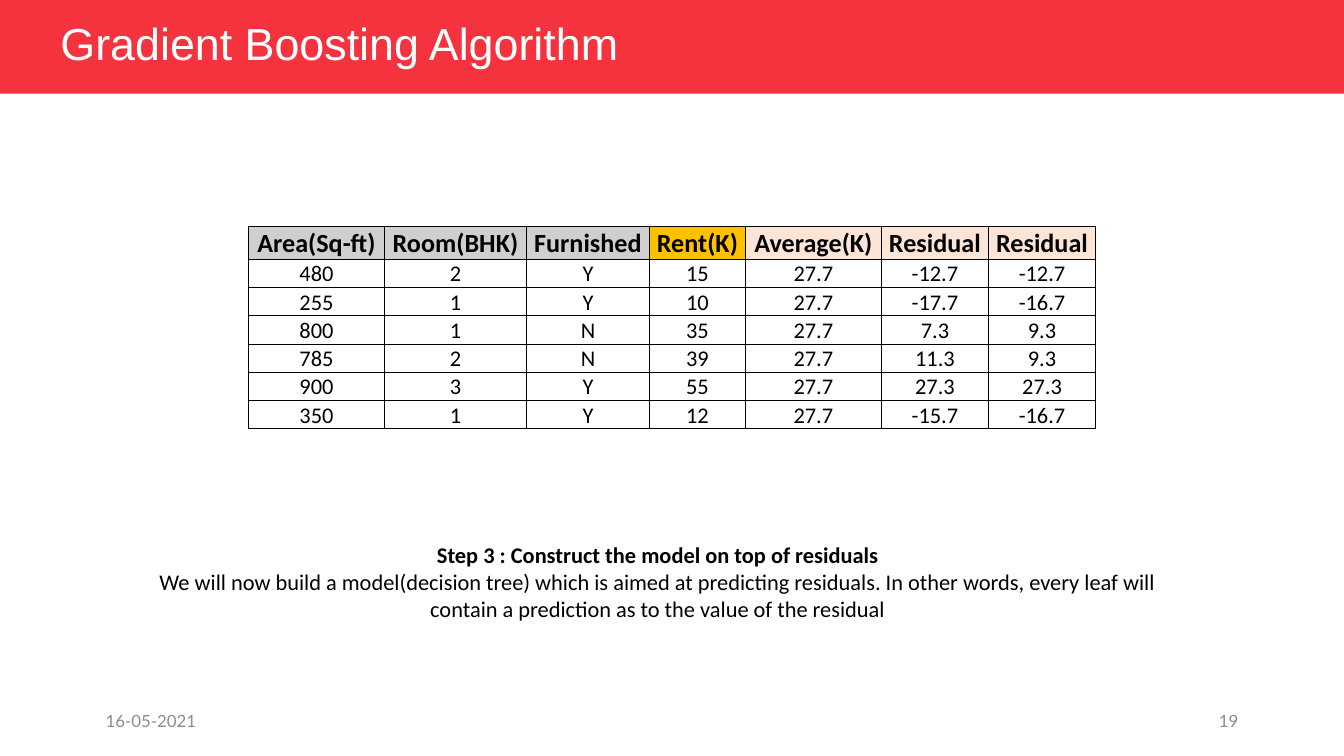
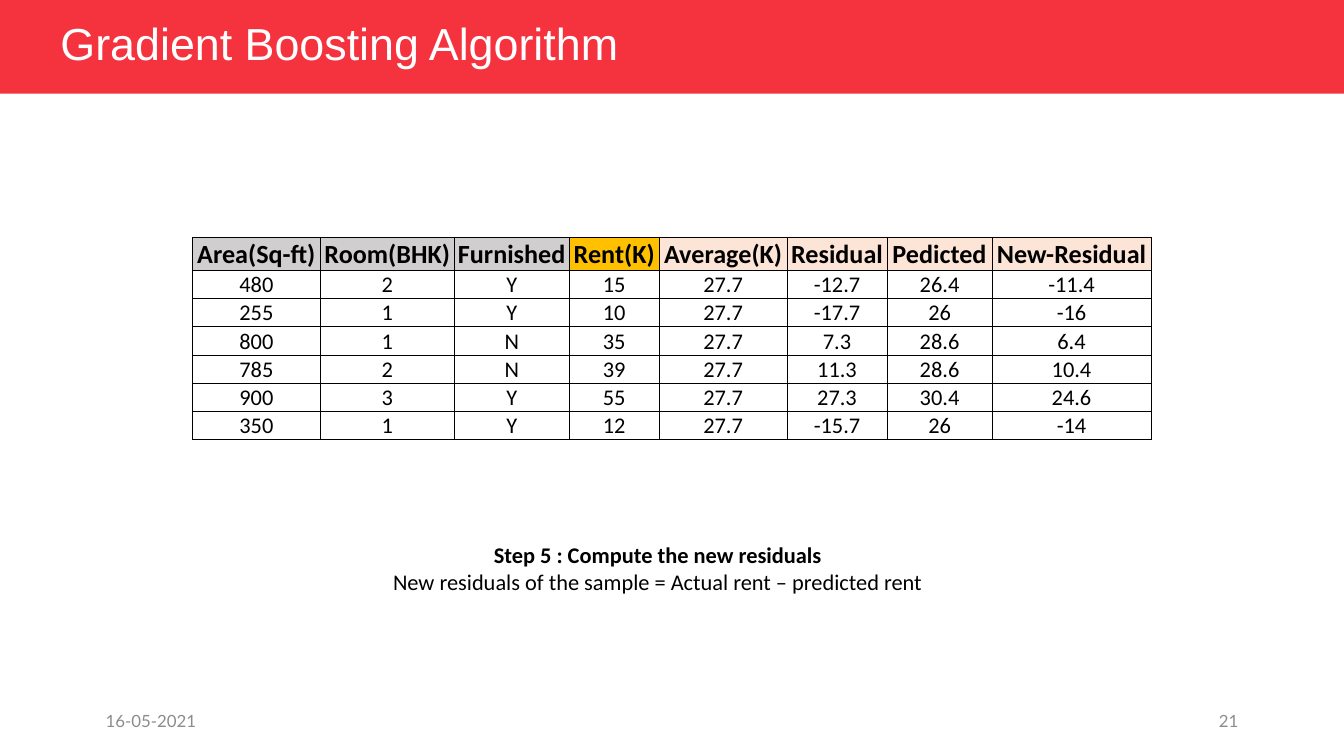
from lxml import etree
from pptx import Presentation
from pptx.dml.color import RGBColor
from pptx.enum.shapes import MSO_SHAPE
from pptx.enum.text import MSO_ANCHOR, MSO_AUTO_SIZE, PP_ALIGN
from pptx.oxml.ns import qn
from pptx.util import Pt

RECTANGLE = MSO_SHAPE.RECTANGLE
MIDDLE, BOTTOM = MSO_ANCHOR.MIDDLE, MSO_ANCHOR.BOTTOM
LEFT, CENTER, RIGHT = PP_ALIGN.LEFT, PP_ALIGN.CENTER, PP_ALIGN.RIGHT
NO_AUTOFIT = MSO_AUTO_SIZE.NONE

COLORS = {
    "band": "F5333F",
    "title": "FFFFFF",
    "text": "000000",
    "footer": "8C8C8C",
    "feature": "D0CECE",
    "target": "FFC000",
    "derived": "FCE4D6",
}
SLIDE_WIDTH, SLIDE_HEIGHT = 720, 405
TITLE = "Gradient Boosting Algorithm"
DATE = "16-05-2021"

# Each column: heading, fill of the heading, values
SAMPLE_COLUMNS = [
    ("Area(Sq-ft)", "feature", ["480", "255", "800", "785", "900", "350"]),
    ("Room(BHK)", "feature", ["2", "1", "1", "2", "3", "1"]),
    ("Furnished", "feature", ["Y", "Y", "N", "N", "Y", "Y"]),
    ("Rent(K)", "target", ["15", "10", "35", "39", "55", "12"]),
    ("Average(K)", "derived", ["27.7"] * 6),
    ("Residual", "derived", ["-12.7", "-17.7", "7.3", "11.3", "27.3", "-15.7"]),
]
LEAF_RESIDUAL = ("Residual", "derived",
                 ["-12.7", "-16.7", "9.3", "9.3", "27.3", "-16.7"])
PREDICTED = ("Pedicted", "derived",
             ["26.4", "26", "28.6", "28.6", "30.4", "26"])
NEW_RESIDUAL = ("New-Residual", "derived",
                ["-11.4", "-16", "6.4", "10.4", "24.6", "-14"])


def rgb(name):
    return RGBColor.from_string(COLORS[name])


def write(paragraph, text, size, font, color, align=LEFT, bold=False):
    paragraph.alignment = align
    run = paragraph.add_run()
    run.text = text
    run.font.size = Pt(size)
    run.font.name = font
    run.font.bold = bold
    run.font.color.rgb = rgb(color)


def add_text_frame(slide, left, top, width, height):
    box = slide.shapes.add_textbox(Pt(left), Pt(top), Pt(width), Pt(height))
    box.text_frame.word_wrap = True
    return box.text_frame


def add_band(slide, layout):
    """Draw the title band and move it to the layout, behind every title."""
    band = slide.shapes.add_shape(RECTANGLE, 0, 0, Pt(SLIDE_WIDTH), Pt(50.2))
    band.shadow.inherit = False
    band.fill.solid()
    band.fill.fore_color.rgb = rgb("band")
    band.line.fill.background()
    band.element.nvSpPr.cNvPr.set("id", "20")
    layout.shapes.element.insert(2, band.element)


def set_title(slide):
    title = slide.shapes.title
    title.left, title.top = Pt(25.2), Pt(9.4)
    title.width, title.height = Pt(519.1), Pt(30.2)
    frame = title.text_frame
    frame.auto_size = NO_AUTOFIT
    frame.vertical_anchor = MIDDLE
    frame.paragraphs[0].line_spacing = 0.9
    write(frame.paragraphs[0], TITLE, 24, "Arial", "title")


def add_footer(slide, number):
    width, margin = 162, 49.5
    for text, left, align in ((DATE, margin, LEFT),
                              (number, SLIDE_WIDTH - margin - width, RIGHT)):
        frame = add_text_frame(slide, left, 375.4, width, 21.6)
        frame.vertical_anchor = MIDDLE
        write(frame.paragraphs[0], text, 9, "Lato", "footer", align)


def add_step(slide, heading, explanation, height):
    frame = add_text_frame(slide, 60.5, 286.6, 583.9, height)
    write(frame.paragraphs[0], heading, 12, "Calibri", "text", CENTER, True)
    write(frame.add_paragraph(), explanation, 12, "Calibri", "text", CENTER)


def add_borders(cell):
    properties = cell._tc.get_or_add_tcPr()
    for side in ("a:lnL", "a:lnR", "a:lnT", "a:lnB"):
        line = etree.SubElement(properties, qn(side), w=str(Pt(0.5)))
        fill = etree.SubElement(line, qn("a:solidFill"))
        etree.SubElement(fill, qn("a:srgbClr"), val=COLORS["text"])


def fill_cell(cell, text, size, bold=False, fill=None):
    cell.margin_left = cell.margin_right = cell.margin_top = Pt(0.72)
    cell.margin_bottom = 0
    cell.vertical_anchor = BOTTOM
    add_borders(cell)
    if fill:
        cell.fill.solid()
        cell.fill.fore_color.rgb = rgb(fill)
    else:
        cell.fill.background()
    write(cell.text_frame.paragraphs[0], text, size, "Calibri", "text", CENTER, bold)


def add_rent_table(slide, columns, widths, left, top, header_height, row_height):
    row_count = len(columns[0][2]) + 1
    height = header_height + row_height * (row_count - 1)
    table = slide.shapes.add_table(row_count, len(columns), Pt(left), Pt(top),
                                   Pt(sum(widths)), Pt(height)).table
    table.first_row = table.horz_banding = False
    for index, row in enumerate(table.rows):
        row.height = Pt(row_height if index else header_height)
    for index, (heading, fill, values) in enumerate(columns):
        table.columns[index].width = Pt(widths[index])
        fill_cell(table.cell(0, index), heading, 14, True, fill)
        for row_index, value in enumerate(values, 1):
            fill_cell(table.cell(row_index, index), value, 12)


def add_step_slide(prs, layout, number):
    slide = prs.slides.add_slide(layout)
    set_title(slide)
    add_footer(slide, number)
    return slide


def main():
    prs = Presentation()
    prs.slide_width, prs.slide_height = Pt(SLIDE_WIDTH), Pt(SLIDE_HEIGHT)
    layout = prs.slide_layouts[5]

    model = add_step_slide(prs, layout, "19")
    add_band(model, layout)
    add_step(model, "Step 3 : Construct the model on top of residuals",
             "We will now build a model(decision tree) which is aimed at "
             "predicting residuals. In other words, every leaf will contain "
             "a prediction as to the value of the residual", 51.1)
    add_rent_table(model, SAMPLE_COLUMNS + [LEAF_RESIDUAL],
                   [72.9, 76.1, 65.9, 51.4, 72.9, 57.4, 57.4],
                   133.1, 121.2, 17.7, 15)

    residuals = add_step_slide(prs, layout, "21")
    add_step(residuals, "Step 5 : Compute the new residuals",
             "New residuals of the sample = Actual rent – predicted rent", 36.5)
    add_rent_table(residuals, SAMPLE_COLUMNS + [PREDICTED, NEW_RESIDUAL],
                   [68.5, 71.8, 61.6, 48.2, 68.5, 53.6, 56.3, 85.1],
                   103.1, 127.2, 13.7, 13)

    prs.save("out.pptx")


if __name__ == "__main__":
    main()
